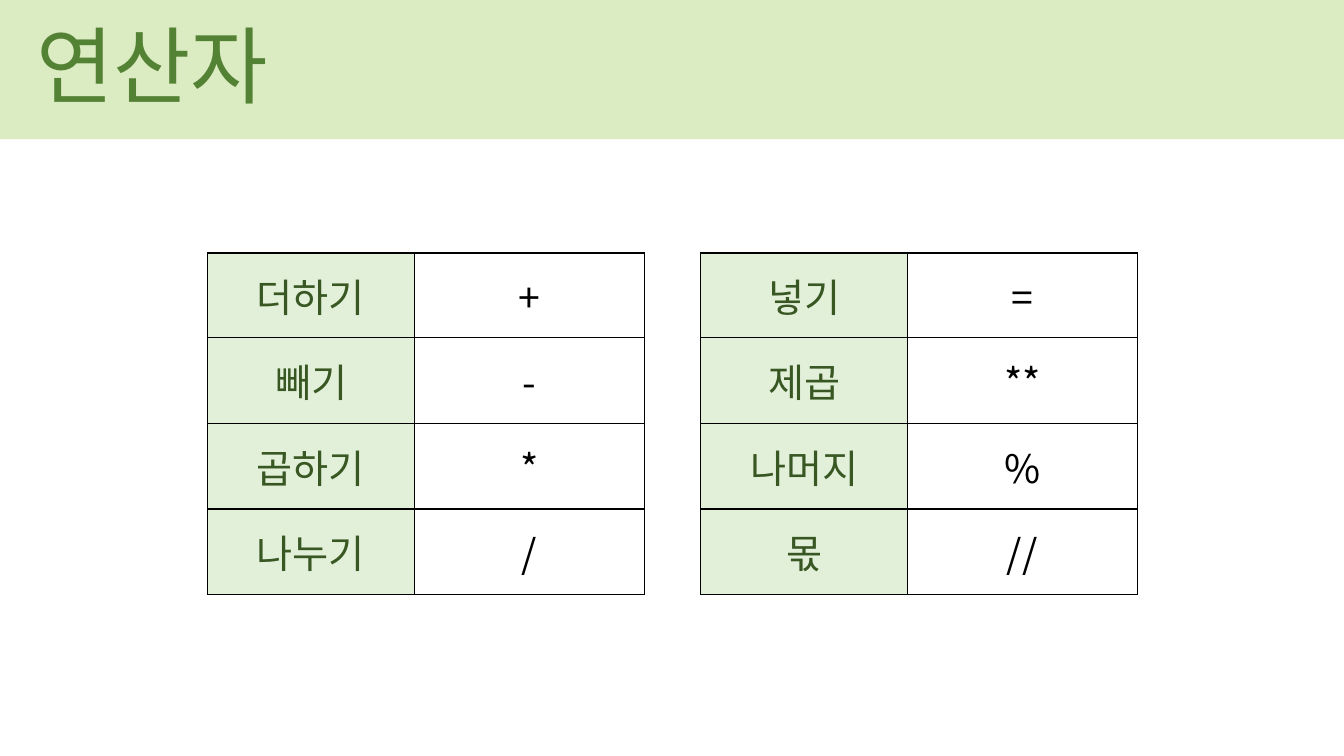
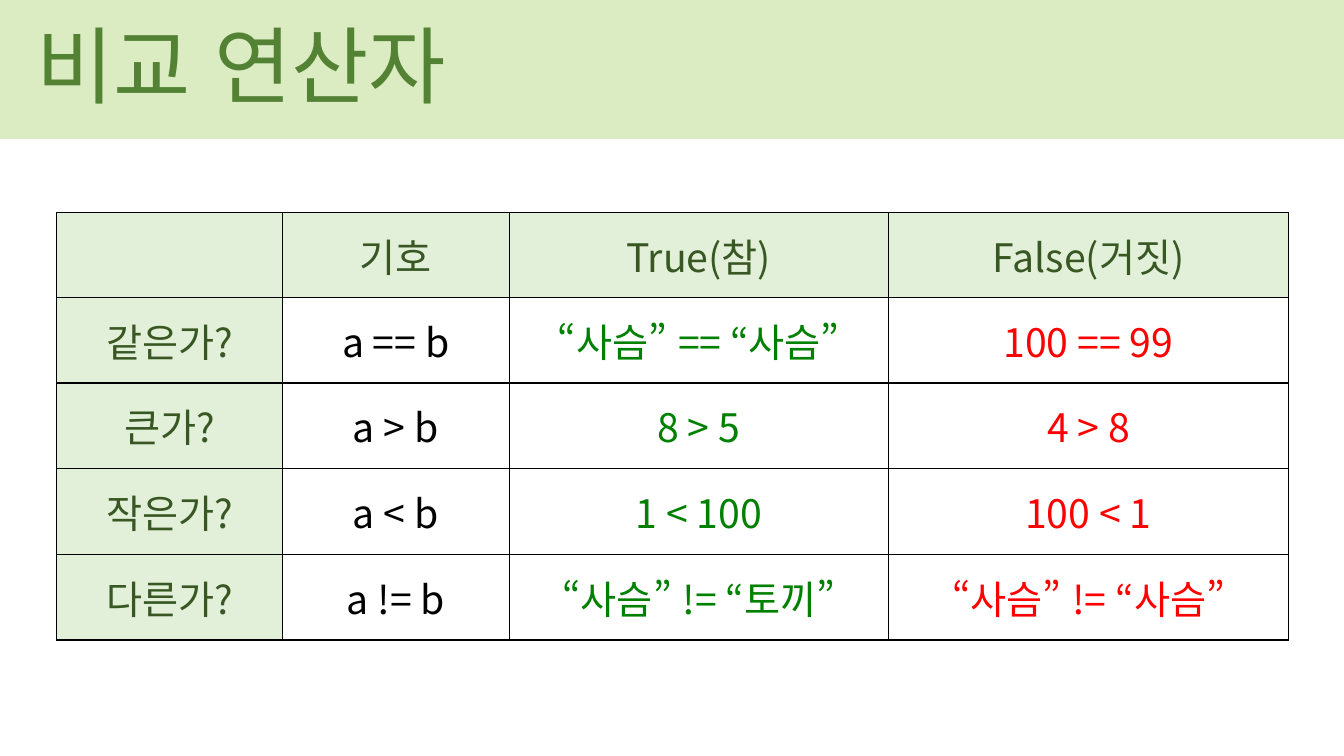
from lxml.etree import SubElement
from pptx import Presentation
from pptx.dml.color import RGBColor
from pptx.enum.lang import MSO_LANGUAGE_ID
from pptx.enum.shapes import MSO_SHAPE
from pptx.enum.text import MSO_ANCHOR, MSO_AUTO_SIZE, PP_ALIGN
from pptx.oxml.ns import qn
from pptx.util import Inches, Pt

FONT = "Noto Sans CJK KR"
BAND, TITLE = "DCECC2", "548235"
HEAD, LABEL = "E2F0D9", "385723"
INK, TRUE, FALSE = "000000", "008000", "FF0000"
WIDE, HIGH = 13.33, 7.5
FIRST, ROW = 0.84, 0.85


def color(code):
    """Turn a hex string into a colour."""
    return RGBColor.from_string(code)


def add_run(para, text, size, code):
    """Add one Korean run in the shared font, for Latin and Korean letters."""
    run = para.add_run()
    run.text = text
    run.font.size = Pt(size)
    run.font.name = FONT
    run.font.language_id = MSO_LANGUAGE_ID.KOREAN
    run.font.color.rgb = color(code)
    SubElement(run.font._element, qn("a:ea"), typeface=FONT)


def add_slide(deck, title):
    """Add a blank slide with the green band and its title."""
    slide = deck.slides.add_slide(deck.slide_layouts[6])
    band = slide.shapes.add_shape(
        MSO_SHAPE.RECTANGLE, 0, 0, Inches(WIDE), Inches(1.38))
    band.shadow.inherit = False
    band.fill.solid()
    band.fill.fore_color.rgb = color(BAND)
    band.line.fill.background()
    box = slide.shapes.add_textbox(
        Inches(0.26), Inches(0.08), Inches(12.15), Inches(1.11))
    frame = box.text_frame
    frame.word_wrap = True
    frame.auto_size = MSO_AUTO_SIZE.SHAPE_TO_FIT_TEXT
    add_run(frame.paragraphs[0], title, 60, TITLE)
    return slide


def add_lines(cell):
    """Draw a thin line on all four sides of a cell."""
    props = cell._tc.get_or_add_tcPr()
    for side in ("lnL", "lnR", "lnT", "lnB"):
        line = SubElement(props, qn("a:" + side), w=str(Pt(1)))
        fill = SubElement(line, qn("a:solidFill"))
        SubElement(fill, qn("a:srgbClr"), val=INK)


def fill_cell(cell, text, code, shaded):
    """Style one cell and write its centred text."""
    add_lines(cell)
    if shaded:
        cell.fill.solid()
        cell.fill.fore_color.rgb = color(HEAD)
    else:
        cell.fill.background()
    cell.vertical_anchor = MSO_ANCHOR.MIDDLE
    para = cell.text_frame.paragraphs[0]
    para.alignment = PP_ALIGN.CENTER
    if text:
        add_run(para, text, 28, code)


def add_grid(slide, left, top, widths, rows, inks, header=False):
    """Add a table with a shaded label column and, if asked, a header row."""
    highs = [FIRST] + [ROW] * (len(rows) - 1)
    shape = slide.shapes.add_table(
        len(rows), len(widths), Inches(left), Inches(top),
        Inches(sum(widths)), Inches(sum(highs)))
    table = shape.table
    table.first_row = table.horz_banding = False
    for col, width in zip(table.columns, widths):
        col.width = Inches(width)
    for r, texts in enumerate(rows):
        table.rows[r].height = Inches(highs[r])
        for c, text in enumerate(texts):
            shaded = c == 0 or (header and r == 0)
            code = LABEL if shaded else inks[c]
            fill_cell(table.cell(r, c), text, code, shaded)


def main():
    """Build the two slides and save them."""
    deck = Presentation()
    deck.slide_width, deck.slide_height = Inches(WIDE), Inches(HIGH)

    slide = add_slide(deck, "연산자")
    basic = [("더하기", "+"), ("빼기", "-"), ("곱하기", "*"), ("나누기", "/")]
    extra = [("넣기", "="), ("제곱", "**"), ("나머지", "%"), ("몫", "//")]
    for left, rows in ((2.06, basic), (6.95, extra)):
        add_grid(slide, left, 2.51, (2.05, 2.28), rows, (LABEL, INK))

    slide = add_slide(deck, "비교 연산자")
    tests = [
        ("", "기호", "True(참)", "False(거짓)"),
        ("같은가?", "a == b", "“사슴” == “사슴”", "100 == 99"),
        ("큰가?", "a > b", "8 > 5", "4 > 8"),
        ("작은가?", "a < b", "1 < 100", "100 < 1"),
        ("다른가?", "a != b", "“사슴” != “토끼”", "“사슴” != “사슴”"),
    ]
    add_grid(slide, 0.56, 2.11, (2.24, 2.25, 3.76, 3.97), tests,
             (LABEL, INK, TRUE, FALSE), header=True)

    deck.save("out.pptx")


main()
